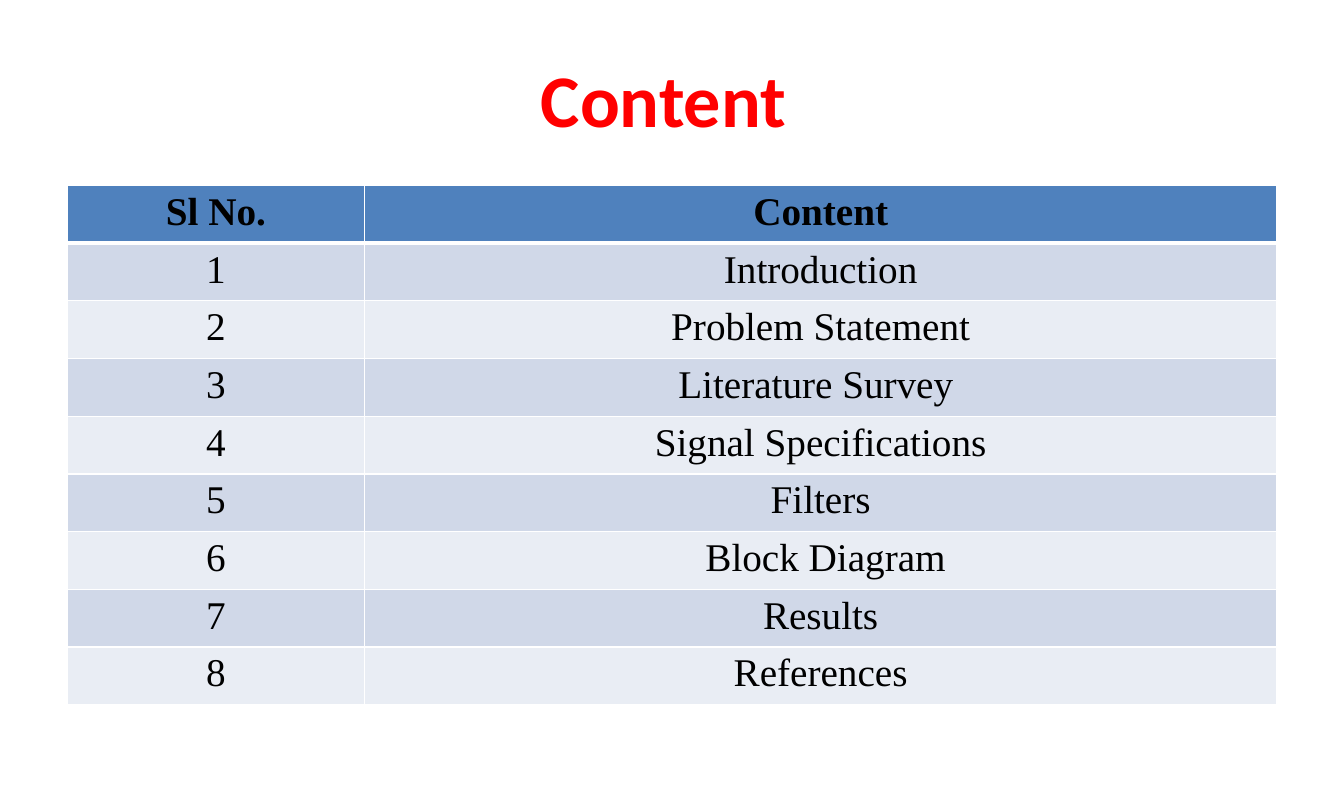
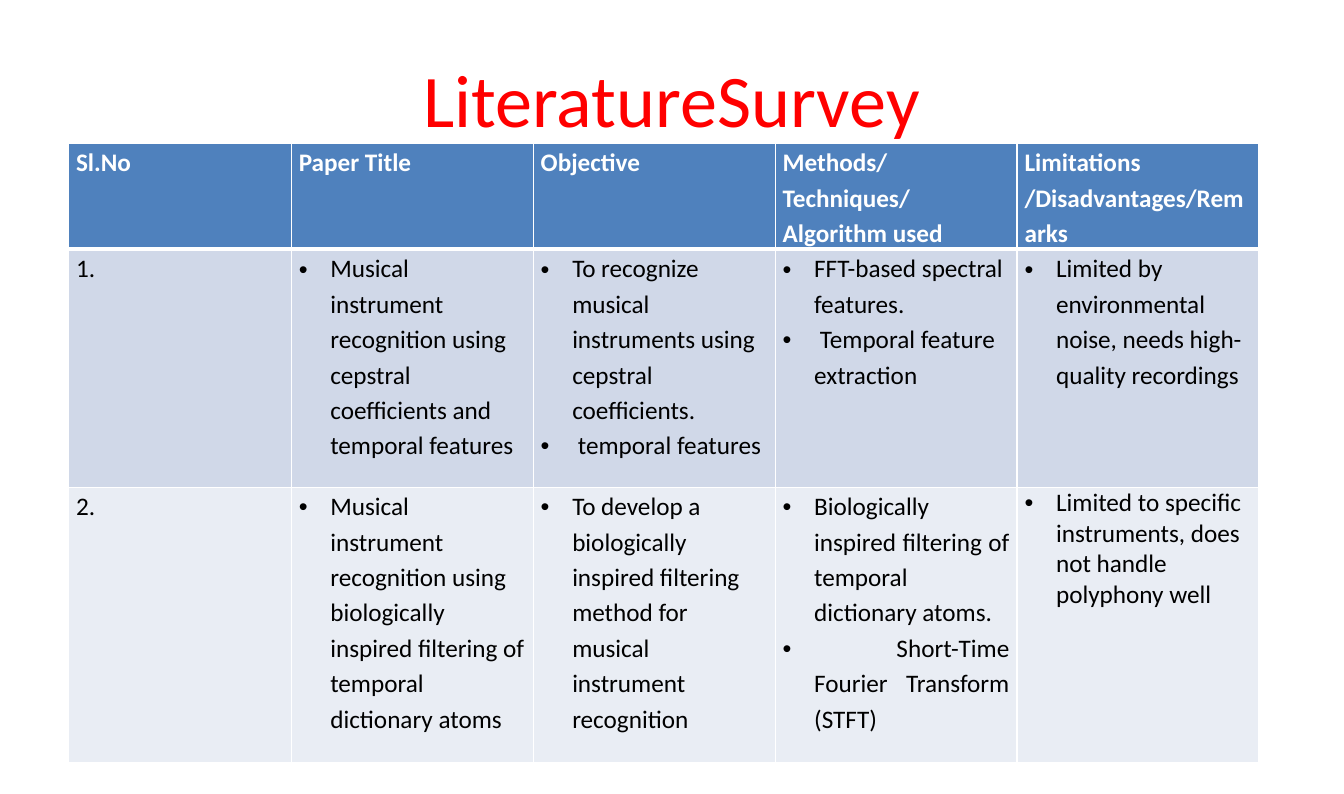
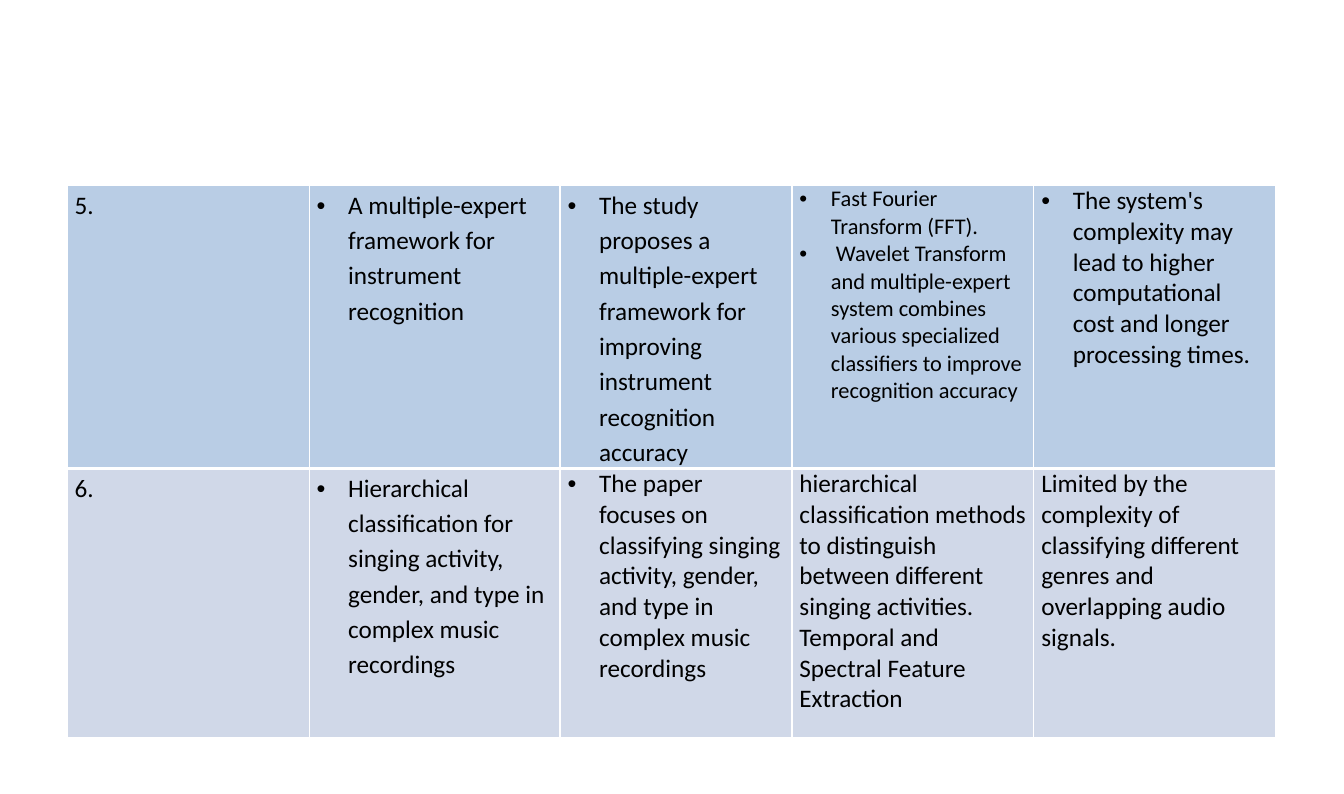
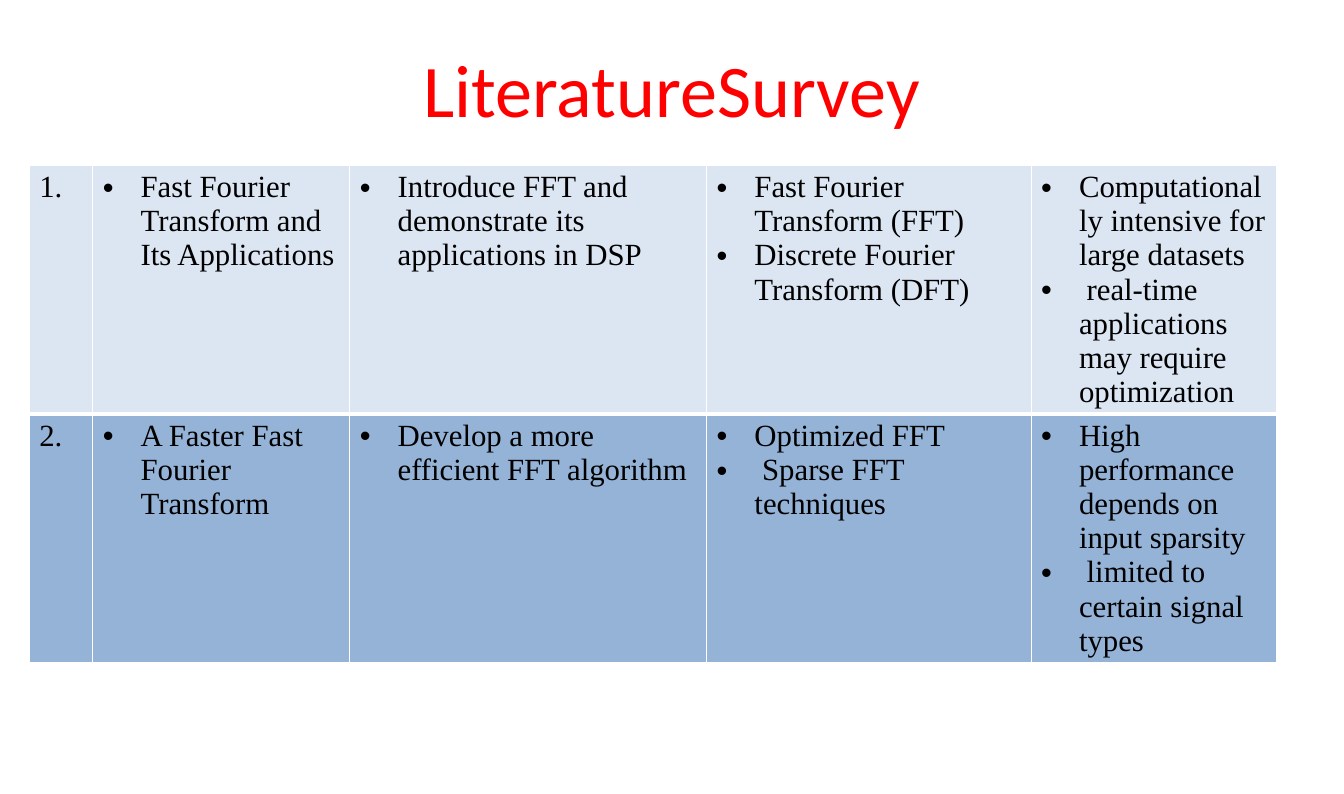
from dataclasses import dataclass

import pptx
import pptx.dml.color
import pptx.enum.text
import pptx.oxml.ns
import pptx.util
from lxml import etree
from pptx.util import Inches

Align = pptx.enum.text.PP_ALIGN

COLORS = {
    "title": "FF0000",
    "text": "000000",
    "white": "FFFFFF",
    "header": "4F81BD",
    "band_dark": "D0D8E8",
    "band_light": "E9EDF4",
    "sky": "B9CDE5",
    "pale": "DCE6F2",
    "steel": "95B3D7",
}


@dataclass
class Cell:
    text: str
    bulleted: bool = False
    align: Align = Align.LEFT
    spacing: float = 1.0
    size: int = 0


@dataclass
class TableStyle:
    font: str
    size: int
    margin_x: float
    margin_y: float
    indent: float = 0


AGENDA = TableStyle("Times New Roman", 28, 0.08, 0.05)
SURVEY = TableStyle("Calibri", 18, 0.15 / 2, 0, 5 / 16)
FFT_SURVEY = TableStyle("Times New Roman", 22, 0.1, 0.05, 3 / 8)


def centred(text):
    return Cell(text, align=Align.CENTER)


def label(text):
    return Cell(text, align=Align.JUSTIFY, spacing=1.15)


def bullets(*items, **options):
    return Cell("\n".join(items), bulleted=True, **options)


def loose(*items, **options):
    return bullets(*items, spacing=1.15, **options)


def color(name):
    return pptx.dml.color.RGBColor.from_string(COLORS[name])


def add_xml(parent, tag, **attributes):
    return etree.SubElement(parent, pptx.oxml.ns.qn(tag), attributes)


class Deck:
    title_font = "Calibri"
    title_size = 53
    thin, thick = 1, 3

    def __init__(self):
        self.presentation = pptx.Presentation()
        self.presentation.slide_width = Inches(40 / 3)
        self.presentation.slide_height = Inches(63 / 8)
        self.slide = None

    def new_slide(self, title=None, height=1.31, bold=False):
        layout = self.presentation.slide_layouts[5 if title else 6]
        self.slide = self.presentation.slides.add_slide(layout)
        if title:
            self.title(title, height, bold)

    def title(self, text, height, bold):
        heading = self.slide.shapes.title
        heading.left, heading.top = Inches(2 / 3), Inches(0.32)
        heading.width, heading.height = Inches(12), Inches(height)
        frame = heading.text_frame
        frame.text = text
        frame.word_wrap = True
        frame.auto_size = pptx.enum.text.MSO_AUTO_SIZE.NONE
        frame.vertical_anchor = pptx.enum.text.MSO_ANCHOR.MIDDLE
        frame.margin_left = frame.margin_right = Inches(0.12)
        frame.margin_top = frame.margin_bottom = Inches(0.06)
        frame.paragraphs[0].alignment = Align.CENTER
        self.font(frame.paragraphs[0], self.title_font, self.title_size, "title", bold)

    def font(self, paragraph, name, size, color_name, bold=False):
        for run in paragraph.runs:
            run.font.name = name
            run.font.size = pptx.util.Pt(size)
            run.font.bold = bold
            run.font.color.rgb = color(color_name)

    def table(self, left, top, widths, heights, rows, fills, style, header_color=None):
        table = self.slide.shapes.add_table(
            len(rows), len(widths), Inches(left), Inches(top),
            Inches(sum(widths)), Inches(sum(heights))).table
        table.first_row = header_color is not None
        table.horz_banding = False
        for column, width in zip(table.columns, widths):
            column.width = Inches(width)
        for row, height in zip(table.rows, heights):
            row.height = Inches(height)
        for r, (row, fill) in enumerate(zip(rows, fills)):
            is_header = r == 0 and header_color is not None
            for c, content in enumerate(row):
                cell = table.cell(r, c)
                self.borders(cell, r)
                cell.fill.solid()
                cell.fill.fore_color.rgb = color(fill)
                self.cell_text(cell, content, style,
                               header_color if is_header else "text", is_header)

    def borders(self, cell, row):
        properties = cell._tc.get_or_add_tcPr()
        widths = {
            "a:lnL": self.thin,
            "a:lnR": self.thin,
            "a:lnT": self.thick if row == 1 else self.thin,
            "a:lnB": self.thick if row == 0 else self.thin,
        }
        for side, width in widths.items():
            line = add_xml(properties, side, w=str(pptx.util.Pt(width)))
            add_xml(add_xml(line, "a:solidFill"), "a:srgbClr", val=COLORS["white"])

    def cell_text(self, cell, content, style, color_name, bold):
        cell.margin_left = cell.margin_right = Inches(style.margin_x)
        cell.margin_top = cell.margin_bottom = Inches(style.margin_y)
        cell.text_frame.text = content.text
        for paragraph in cell.text_frame.paragraphs:
            paragraph.alignment = content.align
            paragraph.line_spacing = content.spacing
            self.font(paragraph, style.font, content.size or style.size, color_name, bold)
            if content.bulleted:
                self.bullet(paragraph, style.indent)

    def bullet(self, paragraph, indent):
        properties = paragraph._p.get_or_add_pPr()
        properties.set("marL", str(Inches(indent)))
        properties.set("indent", str(-Inches(indent)))
        add_xml(properties, "a:buFont", typeface="Arial")
        add_xml(properties, "a:buChar", char="•")

    def save(self):
        self.presentation.save("out.pptx")


def content_slide(deck):
    topics = ["Introduction", "Problem Statement", "Literature Survey ",
              "Signal Specifications", "Filters", " Block Diagram",
              "Results", "References"]
    rows = [[centred("Sl No."), centred("Content")]]
    rows += [[centred(str(number)), centred(topic)]
             for number, topic in enumerate(topics, 1)]
    deck.new_slide("Content ", bold=True)
    deck.table(2 / 3, 1.84, [2.95, 9.05], [5.15 / len(rows)] * len(rows), rows,
               ["header"] + ["band_dark", "band_light"] * 4, AGENDA, "text")


def instrument_survey_slide(deck):
    headings = ["Sl.No", "Paper Title", "Objective",
                "Methods/Techniques/\nAlgorithm used ",
                "Limitations /Disadvantages/Remarks"]
    rows = [
        [label(heading) for heading in headings],
        [label("1."),
         loose("Musical instrument recognition using cepstral coefficients and temporal features"),
         loose("To recognize musical instruments using cepstral coefficients.",
               " temporal features"),
         loose("FFT-based spectral features.", " Temporal feature extraction"),
         loose("Limited by environmental noise, needs high-quality recordings")],
        [label("2."),
         loose("Musical instrument recognition using biologically inspired filtering "
               "of temporal dictionary atoms"),
         loose("To develop a biologically inspired filtering method for musical "
               "instrument recognition"),
         loose("Biologically inspired filtering of temporal dictionary atoms.",
               " Short-Time Fourier Transform (STFT)", align=Align.JUSTIFY),
         bullets("Limited to specific instruments, does not handle polyphony well")],
    ]
    deck.new_slide("LiteratureSurvey")
    deck.table(0.68, 1.42, [2.21] + [2.4] * 4, [1.03, 2.36, 2.73], rows,
               ["header", "band_dark", "band_light"], SURVEY, "white")


def classification_survey_slide(deck):
    rows = [
        [label("5."),
         loose("A multiple-expert framework for instrument recognition"),
         loose("The study proposes a multiple-expert framework for improving "
               "instrument recognition accuracy"),
         bullets("Fast Fourier Transform (FFT).",
                 " Wavelet Transform and multiple-expert system combines various "
                 "specialized classifiers to improve recognition accuracy", size=16),
         bullets("The system's complexity may lead to higher computational cost "
                 "and longer processing times.")],
        [label("6."),
         loose("Hierarchical classification for singing activity, gender, and type "
               "in complex music recordings"),
         bullets("The paper focuses on classifying singing activity, gender, and type "
                 "in complex music recordings"),
         Cell("hierarchical classification methods to distinguish between different "
              "singing activities. Temporal and Spectral Feature Extraction"),
         Cell("Limited by the complexity of classifying different genres and "
              "overlapping audio signals.")],
    ]
    deck.new_slide()
    deck.table(2 / 3, 1.84, [2.4, 2.49, 2.3, 2.4, 2.4], [2.79, 2.67], rows,
               ["sky", "band_dark"], SURVEY)


def fft_survey_slide(deck):
    rows = [
        [Cell("1."),
         bullets("Fast Fourier Transform and Its Applications"),
         bullets("Introduce FFT and demonstrate its applications in DSP"),
         bullets("Fast Fourier Transform (FFT)", "Discrete Fourier Transform (DFT)"),
         bullets("Computationally intensive for large datasets",
                 " real-time applications may require optimization")],
        [Cell("2."),
         bullets("A Faster Fast Fourier Transform"),
         bullets("Develop a more efficient FFT algorithm"),
         bullets("Optimized FFT", " Sparse FFT techniques"),
         bullets("High performance depends on input sparsity",
                 " limited to certain signal types")],
    ]
    deck.new_slide("LiteratureSurvey", height=1.1)
    deck.table(0.29, 1.64, [0.63, 2.55, 3.54, 3.22, 2.44], [2.46] * 2, rows,
               ["pale", "steel"], FFT_SURVEY)


def main():
    deck = Deck()
    content_slide(deck)
    instrument_survey_slide(deck)
    classification_survey_slide(deck)
    fft_survey_slide(deck)
    deck.save()


if __name__ == "__main__":
    main()
